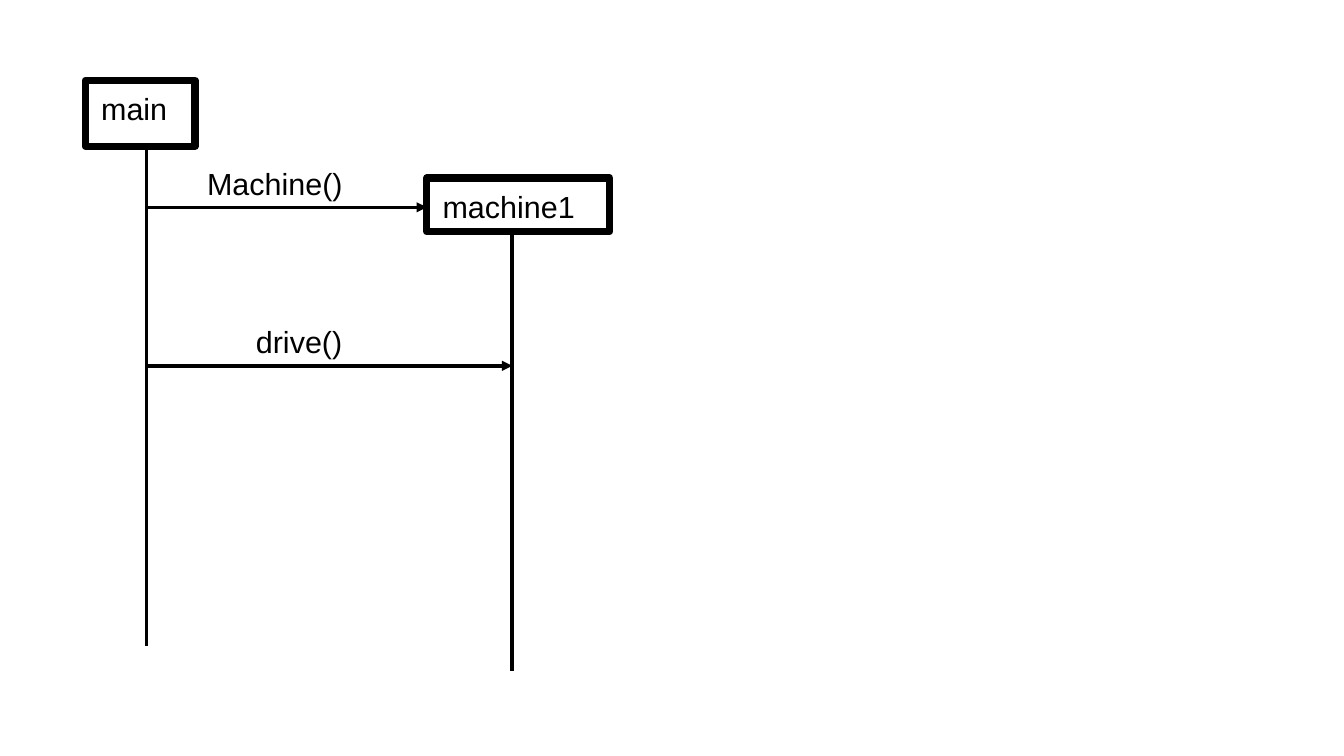
from lxml.etree import SubElement
from pptx import Presentation
from pptx.dml.color import RGBColor
from pptx.enum.shapes import MSO_CONNECTOR, MSO_SHAPE
from pptx.enum.text import MSO_ANCHOR, MSO_AUTO_SIZE, PP_ALIGN
from pptx.oxml.ns import qn
from pptx.util import Pt

# Content: participants with box and lifeline, messages with arrow and label
PARTICIPANTS = {
    "main": {"box": (50.4, 47.5, 64.8, 38.9), "lifeline": 86.4, "end": 381.6},
    "machine1": {"box": (252, 105.1, 108, 31.7), "lifeline": 302.4, "end": 396},
}
MESSAGES = [
    {"text": "Machine()", "to": PARTICIPANTS["machine1"]["box"][0],
     "y": 122.4, "label": (115.2, 93.6, 94.3, 27.4)},
    {"text": "drive()", "to": PARTICIPANTS["machine1"]["lifeline"],
     "y": 216, "label": (144, 187.2, 65.5, 27.4)},
]
THEME = {
    "ink": RGBColor(0, 0, 0),
    "font": "Arial",
    "size": Pt(18),
    "border": Pt(4.31),
    "hairline": Pt(0),
    "box_margins": (9.36, 5.76),
    "label_margins": (7.2, 3.6),
}

presentation = Presentation()
presentation.slide_width, presentation.slide_height = Pt(793.44), Pt(446.4)
slide = presentation.slides.add_slide(presentation.slide_layouts[6])


def set_all(target, values):
    for name, value in values.items():
        setattr(target, name, value)


def write(shape, text, margins, wrap):
    across, down = map(Pt, margins)
    frame = shape.text_frame
    set_all(frame, {
        "margin_left": across, "margin_right": across,
        "margin_top": down, "margin_bottom": down,
        "word_wrap": wrap, "vertical_anchor": MSO_ANCHOR.TOP,
        "auto_size": MSO_AUTO_SIZE.SHAPE_TO_FIT_TEXT,
    })
    paragraph = frame.paragraphs[0]
    paragraph.alignment = PP_ALIGN.LEFT
    run = paragraph.add_run()
    run.text = text
    set_all(run.font, {"name": THEME["font"], "size": THEME["size"]})
    run.font.color.rgb = THEME["ink"]


def ink_line(shape, width):
    shape.line.color.rgb = THEME["ink"]
    shape.line.width = width
    line = shape.line._get_or_add_ln()
    SubElement(line, qn("a:round"))
    return line


def connect(start, end, arrow=False):
    connector = slide.shapes.add_connector(
        MSO_CONNECTOR.STRAIGHT, *map(Pt, start + end))
    line = ink_line(connector, THEME["hairline"])
    if arrow:
        SubElement(line, qn("a:tailEnd"), type="triangle")
    SubElement(connector._element.spPr, qn("a:effectLst"))


# Participants and their lifelines
for name, participant in PARTICIPANTS.items():
    left, top, width, height = participant["box"]
    box = slide.shapes.add_shape(
        MSO_SHAPE.RECTANGLE, Pt(left), Pt(top), Pt(width), Pt(height))
    box.fill.background()
    ink_line(box, THEME["border"])
    box.shadow.inherit = False
    write(box, name, THEME["box_margins"], True)
    x = participant["lifeline"]
    connect((x, top + height), (x, participant["end"]))

# Messages sent from main
for message in MESSAGES:
    y = message["y"]
    connect((PARTICIPANTS["main"]["lifeline"], y), (message["to"], y), arrow=True)
    label = slide.shapes.add_textbox(*map(Pt, message["label"]))
    write(label, message["text"], THEME["label_margins"], False)

presentation.save("out.pptx")
